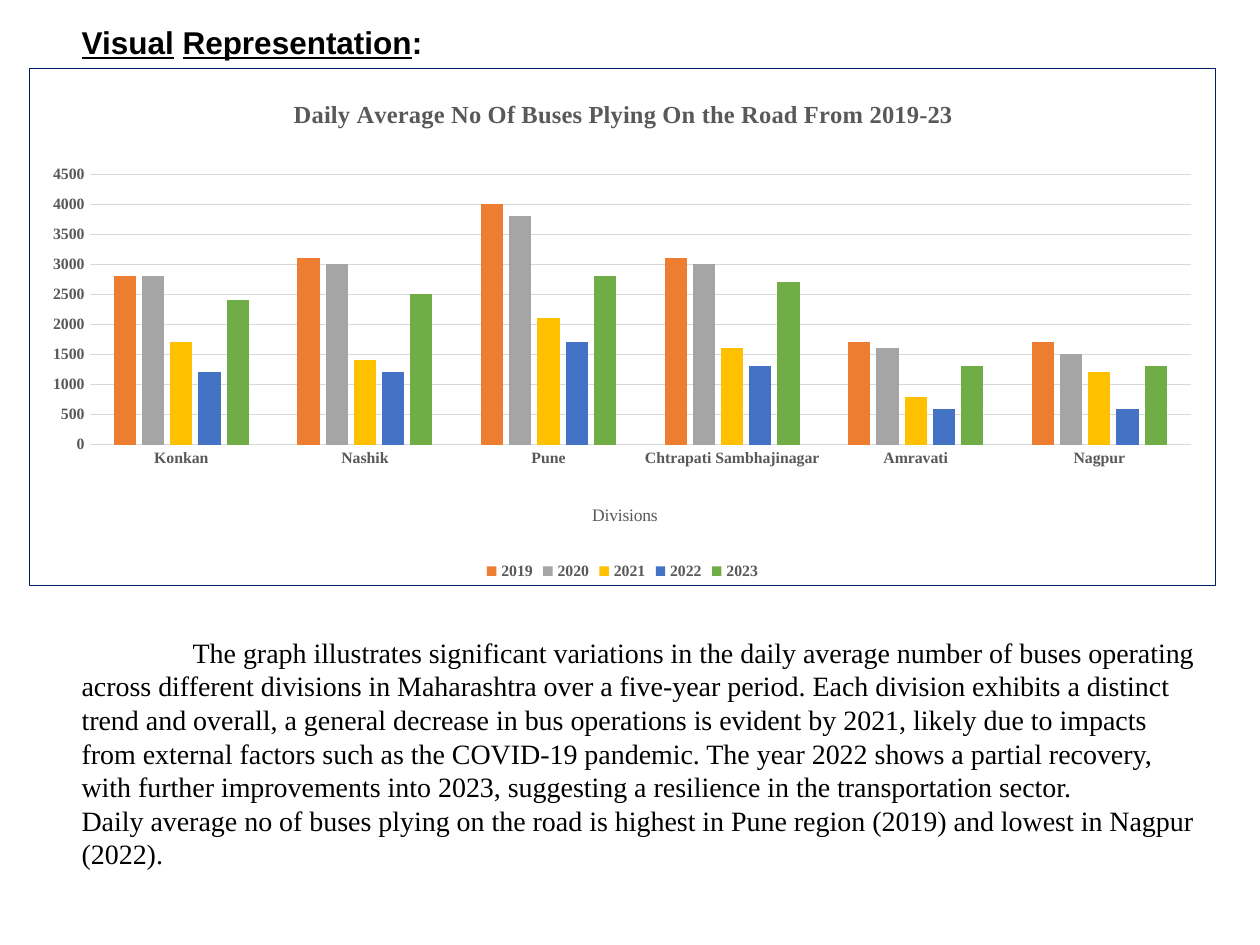
from lxml import etree
from pptx import Presentation
from pptx import util as u
from pptx.chart.data import CategoryChartData
from pptx.dml.color import RGBColor
from pptx.enum import chart as charts, text
from pptx.oxml import ns, parse_xml

SCALE = u.Inches(1) / 126
BLACK = RGBColor(0x00, 0x00, 0x00)
GRAY = RGBColor(0x59, 0x59, 0x59)
GRID = RGBColor(0xD9, 0xD9, 0xD9)
NAVY = RGBColor(0x00, 0x20, 0x60)
ORANGE = RGBColor(0xED, 0x7D, 0x31)
SILVER = RGBColor(0xA5, 0xA5, 0xA5)
GOLD = RGBColor(0xFF, 0xC0, 0x00)
BLUE = RGBColor(0x44, 0x72, 0xC4)
GREEN = RGBColor(0x70, 0xAD, 0x47)

SERIF = "Times New Roman"
HEADING = {"name": "Arial", "size": u.Pt(18), "bold": True, "color": BLACK}
PROSE = {"name": SERIF, "size": u.Pt(16), "bold": False, "color": BLACK}
CHART_TITLE = {"name": SERIF, "size": u.Pt(14), "bold": True, "color": GRAY}
AXIS_TITLE = {"name": SERIF, "size": u.Pt(10), "bold": False, "color": GRAY}
LABEL = {"name": SERIF, "size": u.Pt(9), "bold": True, "color": GRAY}

DIVISIONS = ["Konkan", "Nashik", "Pune", "Chtrapati Sambhajinagar", "Amravati", "Nagpur"]
YEARS = {
    "2019": ([2800, 3100, 4000, 3100, 1700, 1700], ORANGE),
    "2020": ([2800, 3000, 3800, 3000, 1600, 1500], SILVER),
    "2021": ([1700, 1400, 2100, 1600, 800, 1200], GOLD),
    "2022": ([1200, 1200, 1700, 1300, 600, 600], BLUE),
    "2023": ([2400, 2500, 2800, 2700, 1300, 1300], GREEN),
}
PROSE_TEXTS = [
    "The graph illustrates significant variations in the daily average number of buses "
    "operating across different divisions in Maharashtra over a five-year period. Each "
    "division exhibits a distinct trend and overall, a general decrease in bus operations "
    "is evident by 2021, likely due to impacts from external factors such as the COVID-19 "
    "pandemic. The year 2022 shows a partial recovery, with further improvements into 2023, "
    "suggesting a resilience in the transportation sector.",
    "Daily average no of buses plying on the road is highest in Pune region (2019) and "
    "lowest in Nagpur (2022).",
]


def px(length):
    return u.Emu(round(length * SCALE))


def set_font(font, values):
    for key, value in values.items():
        if key == "color":
            font.color.rgb = value
        else:
            setattr(font, key, value)


def place(shape, box):
    for key, length in zip(("left", "top", "width", "height"), box):
        setattr(shape, key, px(length))


def prepare_frame(shape, box):
    place(shape, box)
    frame = shape.text_frame
    values = {"word_wrap": True, "auto_size": text.MSO_AUTO_SIZE.NONE,
              "vertical_anchor": text.MSO_ANCHOR.TOP}
    for key, value in values.items():
        setattr(frame, key, value)
    return frame


def add_heading(page, box):
    para = prepare_frame(page.shapes.title, box).paragraphs[0]
    para.alignment = text.PP_ALIGN.LEFT
    for words, underlined in (("Visual", True), (" ", False),
                              ("Representation", True), (":", False)):
        span = para.add_run()
        span.text = words
        set_font(span.font, {**HEADING, "underline": underlined})


def add_prose(page, box):
    frame = prepare_frame(page.placeholders[1], box)
    for index, (words, indent) in enumerate(zip(PROSE_TEXTS, (111, 0))):
        para = frame.paragraphs[0] if index == 0 else frame.add_paragraph()
        properties = para._p.get_or_add_pPr()
        properties.set("marL", "0")
        properties.set("indent", str(px(indent)))
        etree.SubElement(properties, ns.qn("a:buNone"))
        para.space_before = u.Pt(0)
        para.alignment = text.PP_ALIGN.LEFT
        span = para.add_run()
        span.text = words
        set_font(span.font, PROSE)


def set_layout(element, fractions, inner=False):
    layout = element.find(ns.qn("c:layout"))
    if layout is None:
        layout = etree.Element(ns.qn("c:layout"))
        element.insert(0, layout)
    manual = etree.SubElement(layout, ns.qn("c:manualLayout"))
    values = [("layoutTarget", "inner")] if inner else []
    values += [("xMode", "edge"), ("yMode", "edge")]
    values += zip("xywh", fractions)
    for tag, value in values:
        etree.SubElement(manual, ns.qn("c:" + tag)).set("val", str(value))


def fill_title(title, words, values, fractions):
    title.text_frame.text = words
    set_font(title.text_frame.paragraphs[0].runs[0].font, values)
    set_layout(title._element, fractions)


def style_axis(axis):
    axis.major_tick_mark = axis.minor_tick_mark = charts.XL_TICK_MARK.NONE
    set_font(axis.tick_labels.font, LABEL)


def add_border(chart):
    border = parse_xml(
        f'<c:spPr {ns.nsdecls("c", "a")}><a:noFill/><a:ln w="{u.Pt(0.75)}">'
        f'<a:solidFill><a:srgbClr val="{NAVY}"/></a:solidFill></a:ln></c:spPr>')
    chart._chartSpace.find(ns.qn("c:chart")).addnext(border)


def add_bus_chart(page, box):
    width, height = box[2:]

    def share(left, top, *size):
        sides = (width, height, width, height)
        return [round(part / side, 4) for part, side in zip((left, top, *size), sides)]

    data = CategoryChartData()
    data.categories = DIVISIONS
    for year, (values, _) in YEARS.items():
        data.add_series(year, values)
    chart = page.shapes.add_chart(
        charts.XL_CHART_TYPE.COLUMN_CLUSTERED, *map(px, box), data).chart
    set_font(chart.font, {"name": SERIF, "size": u.Pt(10), "color": BLACK})
    add_border(chart)
    chart.has_title = True
    fill_title(chart.chart_title, "Daily Average No Of Buses Plying On the Road From 2019-23",
               CHART_TITLE, share(260, 25))

    plot = chart.plots[0]
    for key, value in {"gap_width": 219, "overlap": -27, "vary_by_categories": False}.items():
        setattr(plot, key, value)
    for series, (_, color) in zip(plot.series, YEARS.values()):
        series.format.fill.solid()
        series.format.fill.fore_color.rgb = color
        series.invert_if_negative = False
    set_layout(chart._chartSpace.find(".//" + ns.qn("c:plotArea")),
               share(60, 106, 1103, 271), inner=True)

    divisions, buses = chart.category_axis, chart.value_axis
    for axis in (divisions, buses):
        style_axis(axis)
    fill_title(divisions.axis_title, "Divisions", AXIS_TITLE, share(560, 433))
    for key, value in {"minimum_scale": 0, "maximum_scale": 4500, "major_unit": 500,
                       "has_major_gridlines": True}.items():
        setattr(buses, key, value)
    buses.format.line.fill.background()
    for line in (divisions.format.line, buses.major_gridlines.format.line):
        line.color.rgb = GRID
        line.width = u.Pt(0.75)

    chart.has_legend = True
    chart.legend.position = charts.XL_LEGEND_POSITION.BOTTOM
    chart.legend.include_in_layout = False
    set_font(chart.legend.font, LABEL)


def main():
    deck = Presentation()
    deck.slide_width, deck.slide_height = px(1260), px(945)
    page = deck.slides.add_slide(deck.slide_layouts[1])
    add_heading(page, (69, 17, 598, 50))
    add_bus_chart(page, (29, 68, 1187, 518))
    add_prose(page, (69, 629, 1147, 280))
    deck.save("out.pptx")


if __name__ == "__main__":
    main()
